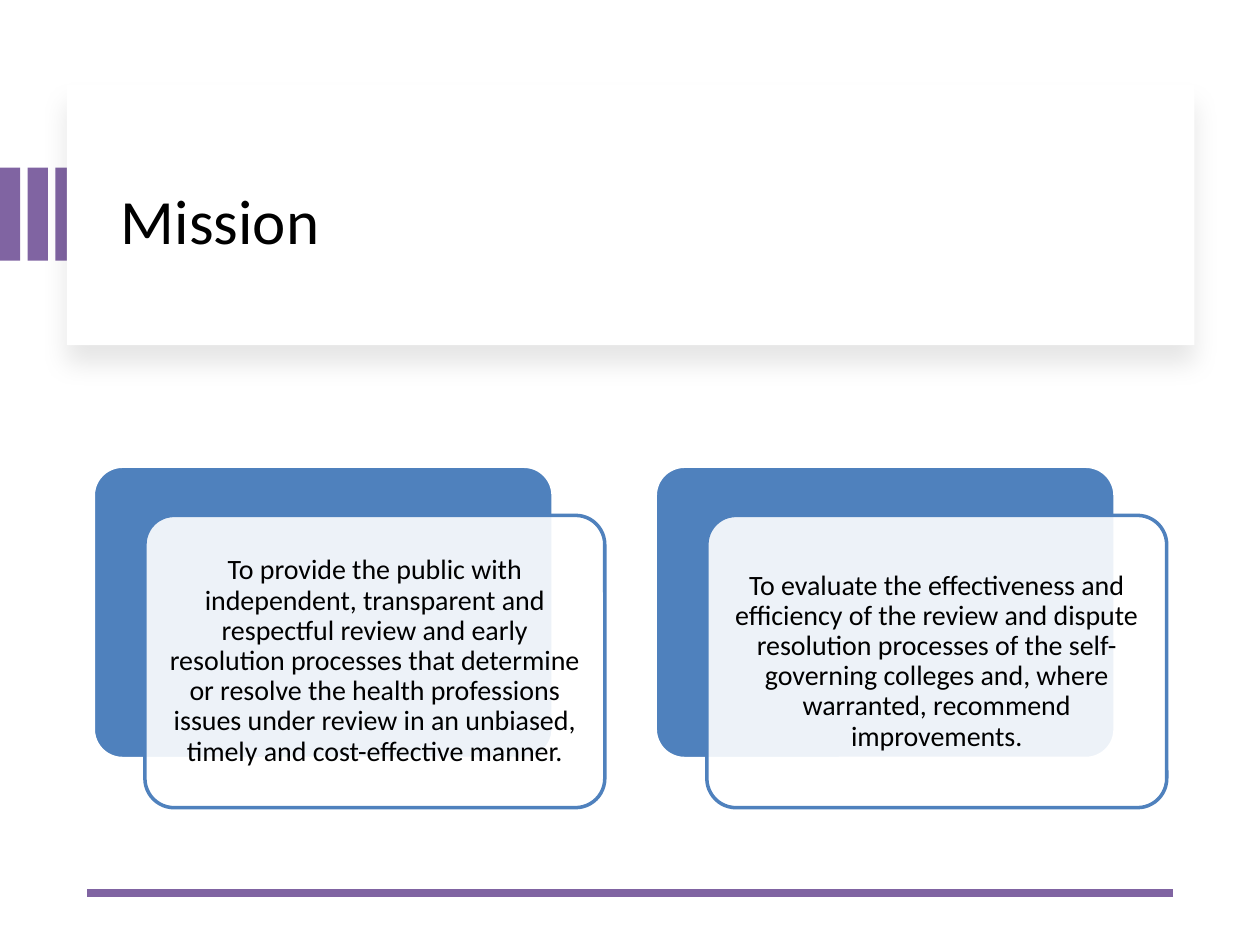
import pptx
import pptx.dml.color
import pptx.enum.shapes
import pptx.enum.text
import pptx.oxml
import pptx.oxml.ns
import pptx.util
from pptx.util import Inches

TITLE = "Mission"
MISSIONS = [
    "To provide the public with independent, transparent and respectful review and early "
    "resolution processes that determine or resolve the health professions issues under "
    "review in an unbiased, timely and cost-effective manner.",
    "To evaluate the effectiveness and efficiency of the review and dispute resolution "
    "processes of the self-governing colleges and, where warranted, recommend improvements.",
]
THEME = {
    "font": "Calibri", "title_size": 36, "body_size": 16,
    "text": "000000", "white": "FFFFFF", "purple": "8064A2", "blue": "4F81BD",
}
BAR_COUNT, BAR_STEP = 3, 0.22
CARD_LEFT, CARD_TOP, CARD_STEP = 0.74, 3.7, 4.46
CARD_SIZE = (3.65, 2.32)
CARD_OFFSET = (0.41, 0.39)

RECTANGLE = pptx.enum.shapes.MSO_SHAPE.RECTANGLE
ROUNDED = pptx.enum.shapes.MSO_SHAPE.ROUNDED_RECTANGLE
NAMESPACE = pptx.oxml.ns.nsdecls("a")


def color(name):
    return pptx.dml.color.RGBColor.from_string(THEME[name])


def add_box(shapes, kind, box, fill, line=None):
    shape = shapes.add_shape(kind, *map(Inches, box))
    shape.shadow.inherit = False
    shape.fill.solid()
    shape.fill.fore_color.rgb = color(fill)
    if line:
        shape.line.color.rgb = color(line)
        shape.line.width = pptx.util.Pt(2)
    else:
        shape.line.fill.background()
    if kind == ROUNDED:
        shape.adjustments[0] = 0.1
    return shape


def set_text(shape, text, size, alignment, insets):
    """Fill a shape with one middle-anchored paragraph; insets are (sides, top and bottom)."""
    frame = shape.text_frame
    frame.text = text
    frame.word_wrap = True
    frame.auto_size = pptx.enum.text.MSO_AUTO_SIZE.NONE
    frame.vertical_anchor = pptx.enum.text.MSO_ANCHOR.MIDDLE
    frame.margin_left = frame.margin_right = Inches(insets[0])
    frame.margin_top = frame.margin_bottom = Inches(insets[1])
    paragraph = frame.paragraphs[0]
    paragraph.alignment = alignment
    font = paragraph.runs[0].font
    font.name = THEME["font"]
    font.size = pptx.util.Pt(THEME[size])
    font.color.rgb = color("text")
    return paragraph


def add_soft_shadow(shape):
    effects = shape.element.spPr.find(pptx.oxml.ns.qn("a:effectLst"))
    effects.append(pptx.oxml.parse_xml(
        f'<a:outerShdw {NAMESPACE} blurRad="{pptx.util.Pt(15)}" dist="{pptx.util.Pt(11)}" '
        'dir="5400000" algn="t" rotWithShape="0"><a:srgbClr val="000000">'
        '<a:alpha val="10000"/></a:srgbClr></a:outerShdw>'))


def add_card(slide, left, text):
    group = slide.shapes.add_group_shape()
    add_box(group.shapes, ROUNDED, (left, CARD_TOP, *CARD_SIZE), "blue", "white")
    front_corner = (left + CARD_OFFSET[0], CARD_TOP + CARD_OFFSET[1])
    front = add_box(group.shapes, ROUNDED, (*front_corner, *CARD_SIZE), "white", "blue")
    fill_color = front.element.spPr.find(".//" + pptx.oxml.ns.qn("a:srgbClr"))
    fill_color.append(pptx.oxml.parse_xml(f'<a:alpha {NAMESPACE} val="90000"/>'))
    paragraph = set_text(front, text, "body_size", pptx.enum.text.PP_ALIGN.CENTER, (0.07, 0.07))
    paragraph.line_spacing = 0.9


def main():
    presentation = pptx.Presentation()
    presentation.slide_width, presentation.slide_height = Inches(10), Inches(7.5)
    slide = presentation.slides.add_slide(presentation.slide_layouts[5])

    bars = slide.shapes.add_group_shape()
    for index in range(BAR_COUNT):
        add_box(bars.shapes, RECTANGLE, (index * BAR_STEP, 1.33, 0.16, 0.74), "purple")

    panel = add_box(slide.shapes, RECTANGLE, (0.53, 0.67, 8.95, 2.07), "white")
    add_soft_shadow(panel)

    title = slide.shapes.title
    title.left, title.top, title.width, title.height = map(Inches, (0.86, 0.89, 8.34, 1.7))
    set_text(title, TITLE, "title_size", pptx.enum.text.PP_ALIGN.LEFT, (0.1, 0.05))
    panel.element.addnext(title.element)  # the title sits in front of its panel

    rule = slide.shapes.add_connector(
        pptx.enum.shapes.MSO_CONNECTOR.STRAIGHT, *map(Inches, (9.31, 7.09, 0.69, 7.09)))
    rule.line.color.rgb = color("purple")
    rule.line.width = pptx.util.Pt(4.5)
    rule.element.spPr.append(pptx.oxml.parse_xml(f"<a:effectLst {NAMESPACE}/>"))

    for index, text in enumerate(MISSIONS):
        add_card(slide, CARD_LEFT + index * CARD_STEP, text)

    presentation.save("out.pptx")


if __name__ == "__main__":
    main()
